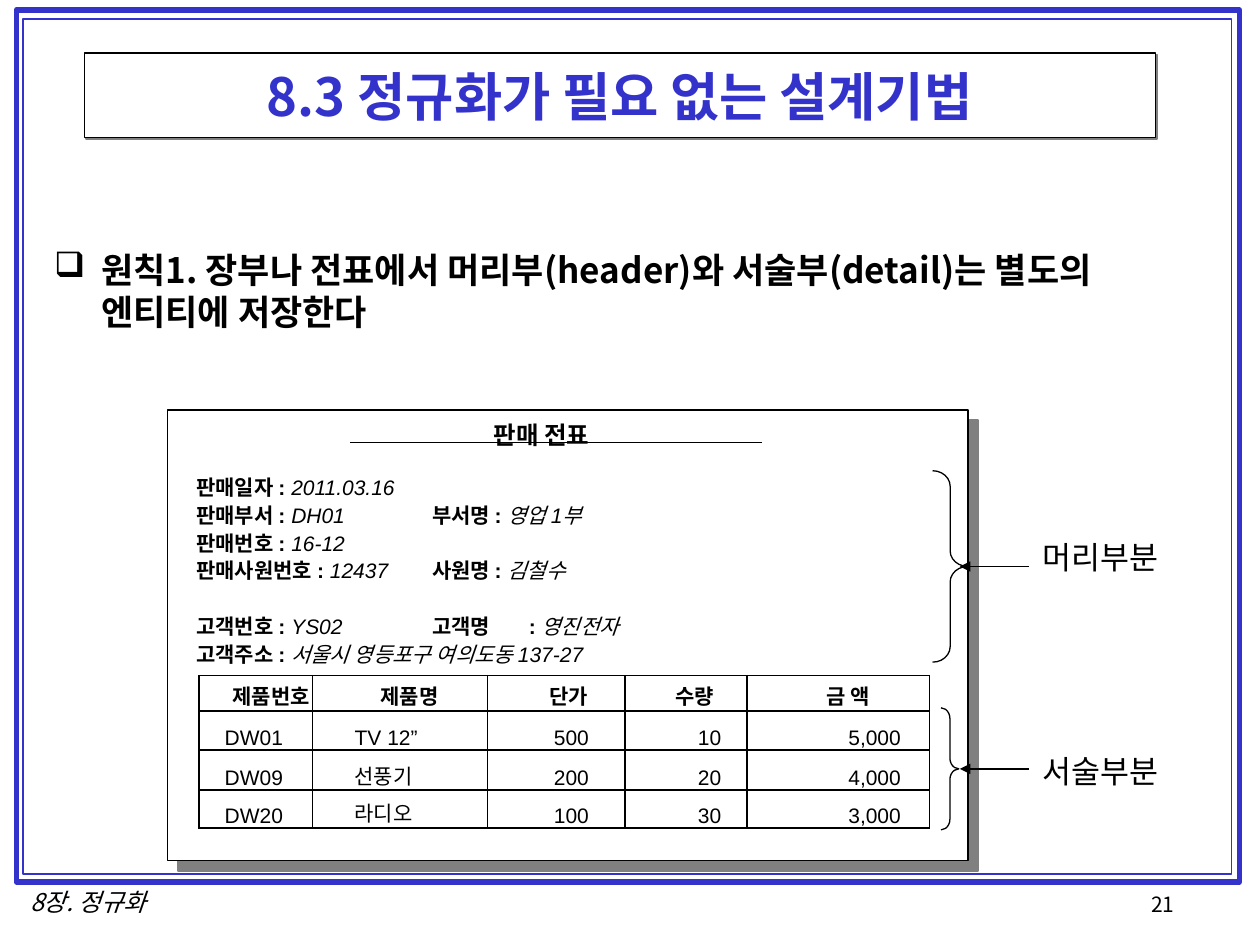
from lxml.etree import SubElement
from pptx import Presentation
from pptx.dml.color import RGBColor
from pptx.enum.shapes import MSO_CONNECTOR, MSO_SHAPE
from pptx.enum.text import MSO_ANCHOR, MSO_AUTO_SIZE, PP_ALIGN
from pptx.oxml import parse_xml
from pptx.oxml.ns import nsdecls, qn
from pptx.util import Cm, Pt

COLORS = {"ink": "000000", "paper": "FFFFFF", "blue": "3333CC", "shadow": "808080"}
KOREAN = "Noto Sans CJK KR"
COL_WIDTHS = [2.29, 3.53, 2.77, 2.46, 3.68]
ROW_HEIGHTS = [0.71, 0.79, 0.81, 0.76]
HEAD_INDENTS = [0.68, 1.37, 1.24, 1.02, 1.6]
BODY_INDENTS = [0.52, 0.85, 0.73, 0.52, 0.58]
ROWS = [
    ["제품번호", "제품명", "단가", "수량", "금 액"],
    ["DW01", "TV 12”", "500", "10", "5,000"],
    ["DW09", "선풍기", "200", "20", "4,000"],
    ["DW20", "라디오", "100", "30", "3,000"],
]
FIELDS = [
    [("판매일자 : ", "2011.03.16")],
    [("판매부서 : ", "DH01"), ("부서명 : ", "영업 1부")],
    [("판매번호 : ", "16-12")],
    [("판매사원번호 : ", "12437"), ("사원명 : ", "김철수")],
    [("고객번호 : ", "YS02"), ("고객명\t: ", "영진전자")],
    [("고객주소 : ", "서울시 영등포구 여의도동 137-27")],
]


def rgb(name):
    return RGBColor.from_string(COLORS[name])


def add_run(p, text, color="ink", **fmt):
    r = p.add_run()
    r.text = text
    for key, value in {"name": KOREAN, "bold": False, "italic": False, **fmt}.items():
        setattr(r.font, key, value)
    r.font.color.rgb = rgb(color)
    latin = r.font._element.find(qn("a:latin"))
    latin.addnext(parse_xml(f'<a:ea {nsdecls("a")} typeface="{KOREAN}"/>'))


def add_text(s, box, text="", wrap=False, align=PP_ALIGN.LEFT, **fmt):
    tf = s.shapes.add_textbox(*map(Cm, box)).text_frame
    tf.word_wrap = wrap
    tf.auto_size = MSO_AUTO_SIZE.NONE if wrap else MSO_AUTO_SIZE.SHAPE_TO_FIT_TEXT
    p = tf.paragraphs[0]
    p.alignment = align
    if text:
        add_run(p, text, **fmt)
    return tf


def add_panel(s, box, color="ink", width=1, shadow=0, filled=True, kind=MSO_SHAPE.RECTANGLE):
    sp = s.shapes.add_shape(kind, *map(Cm, box))
    sp.shadow.inherit = False
    if filled:
        sp.fill.solid()
        sp.fill.fore_color.rgb = rgb("paper")
    else:
        sp.fill.background()
    sp.line.color.rgb = rgb(color)
    sp.line.width = Pt(width)
    if shadow:
        effects = sp._element.spPr.find(qn("a:effectLst"))
        effects.append(parse_xml(
            f'<a:outerShdw {nsdecls("a")} dist="{Pt(shadow)}" dir="2700000" algn="tl" '
            f'rotWithShape="0"><a:srgbClr val="{COLORS["shadow"]}"/></a:outerShdw>'))
    return sp


def add_line(s, x1, x2, y, width, arrow=False):
    c = s.shapes.add_connector(MSO_CONNECTOR.STRAIGHT, Cm(x1), Cm(y), Cm(x2), Cm(y))
    c.line.color.rgb = rgb("ink")
    c.line.width = Pt(width)
    if arrow:
        SubElement(c.line._get_or_add_ln(), qn("a:headEnd"), type="triangle")
    SubElement(c._element.spPr, qn("a:effectLst"))


def add_frame(s, box):
    x, y, w, h = box
    add_panel(s, box, "blue", 3, filled=False)
    add_panel(s, (x + 0.14, y + 0.19, w - 0.3, h - 0.35), "blue", 1, filled=False)
    add_text(s, (x + 22.63, y + h + 0.07, 2.59, 0.84), "21", size=Pt(12))
    add_text(s, (x - 0.15, y + h - 0.03, 3.2, 0.86), "8장. 정규화",
             align=PP_ALIGN.CENTER, size=Pt(14), italic=True)


def add_title(s, box):
    tf = add_panel(s, box, width=0.75, shadow=1.4).text_frame
    tf.word_wrap = True
    tf.vertical_anchor = MSO_ANCHOR.MIDDLE
    p = tf.paragraphs[0]
    p.alignment = PP_ALIGN.CENTER
    add_run(p, "8.3 정규화가 필요 없는 설계기법", "blue", size=Pt(30), bold=True)


def add_principle(s, box):
    tf = add_text(s, box, "원칙1. 장부나 전표에서 머리부(header)와 서술부(detail)는 별도의 엔티티에 저장한다",
                  wrap=True, size=Pt(20), bold=True)
    pPr = tf.paragraphs[0]._p.get_or_add_pPr()
    pPr.set("marL", str(Cm(0.95)))
    pPr.set("indent", str(Cm(-0.95)))
    SubElement(pPr, qn("a:buChar"), char="❑")


def add_fields(s, box):
    tf = add_text(s, box, wrap=True)
    for i, fields in enumerate(FIELDS):
        p = tf.paragraphs[0] if i == 0 else tf.add_paragraph()
        p.line_spacing = 1.1
        if i == 4:
            p.space_before = Pt(16)
        tabs = SubElement(p._p.get_or_add_pPr(), qn("a:tabLst"))
        for stop in (4.75, 6.7):
            SubElement(tabs, qn("a:tab"), pos=str(Cm(stop)), algn="l")
        for j, (label, value) in enumerate(fields):
            add_run(p, "\t" * j + label, name="Arial", size=Pt(12), bold=True)
            add_run(p, value, name="Arial", size=Pt(12), italic=True)


def add_border(cell):
    tcPr = cell._tc.get_or_add_tcPr()
    for i, side in enumerate("LRTB"):
        tcPr.insert(i, parse_xml(
            f'<a:ln{side} {nsdecls("a")} w="{Pt(1)}"><a:solidFill>'
            f'<a:srgbClr val="{COLORS["ink"]}"/></a:solidFill></a:ln{side}>'))


def add_items(s, x, y):
    size = Cm(sum(COL_WIDTHS)), Cm(sum(ROW_HEIGHTS))
    table = s.shapes.add_table(len(ROWS), len(COL_WIDTHS), Cm(x), Cm(y), *size).table
    table.first_row = table.horz_banding = False
    for col, width in zip(table.columns, COL_WIDTHS):
        col.width = Cm(width)
    for i, (row, height) in enumerate(zip(ROWS, ROW_HEIGHTS)):
        table.rows[i].height = Cm(height)
        for j, text in enumerate(row):
            cell = table.cell(i, j)
            right = i > 0 and j > 1
            indent = Cm((BODY_INDENTS if i else HEAD_INDENTS)[j])
            fmt = {"margin_left": 0 if right else indent, "margin_right": indent if right else 0,
                   "margin_top": 0, "margin_bottom": 0, "vertical_anchor": MSO_ANCHOR.BOTTOM}
            for key, value in fmt.items():
                setattr(cell, key, value)
            cell.fill.solid()
            cell.fill.fore_color.rgb = rgb("paper")
            add_border(cell)
            p = cell.text_frame.paragraphs[0]
            p.alignment = PP_ALIGN.RIGHT if right else PP_ALIGN.LEFT
            add_run(p, text, name="Arial", size=Pt(12), bold=i == 0)


def add_slip(s, box):
    x, y, w, h = box
    add_panel(s, box, shadow=8.5)
    add_line(s, x + 3.68, x + 11.99, y + 0.66, 1)
    add_text(s, (x + 6.32, y + 0.08, 2.46, 0.84), "판매 전표",
             name="Arial", size=Pt(14), bold=True)
    add_fields(s, (x + 0.33, y + 1.14, 12, 4.17))
    add_items(s, x + 0.63, y + 5.36)


def add_brace_label(s, box, text, bend, label_rise):
    x, y, w, h = box
    sp = add_panel(s, box, width=0.75, filled=False, kind=MSO_SHAPE.RIGHT_BRACE)
    sp.adjustments[0] = bend
    mid = y + h / 2
    add_line(s, 19.35, 20.75, mid, 0.75, arrow=True)
    add_text(s, (20.77, mid - label_rise, 2.84, 1.02), text,
             name="Times New Roman", size=Pt(18))


def main():
    prs = Presentation()
    prs.slide_width, prs.slide_height = Cm(25.4), Cm(19.05)
    s = prs.slides.add_slide(prs.slide_layouts[6])
    add_frame(s, (0.33, 0.2, 24.66, 17.58))
    add_title(s, (1.7, 1.07, 21.59, 1.7))
    add_principle(s, (0.84, 4.88, 21.59, 2.2))
    add_slip(s, (3.38, 8.26, 16.13, 9.09))
    add_brace_label(s, (18.8, 9.49, 0.71, 3.86), "머리부분", 0.44, 0.7)
    add_brace_label(s, (18.97, 14.27, 0.36, 2.46), "서술부분", 0.6, 0.46)
    prs.save("out.pptx")


if __name__ == "__main__":
    main()
